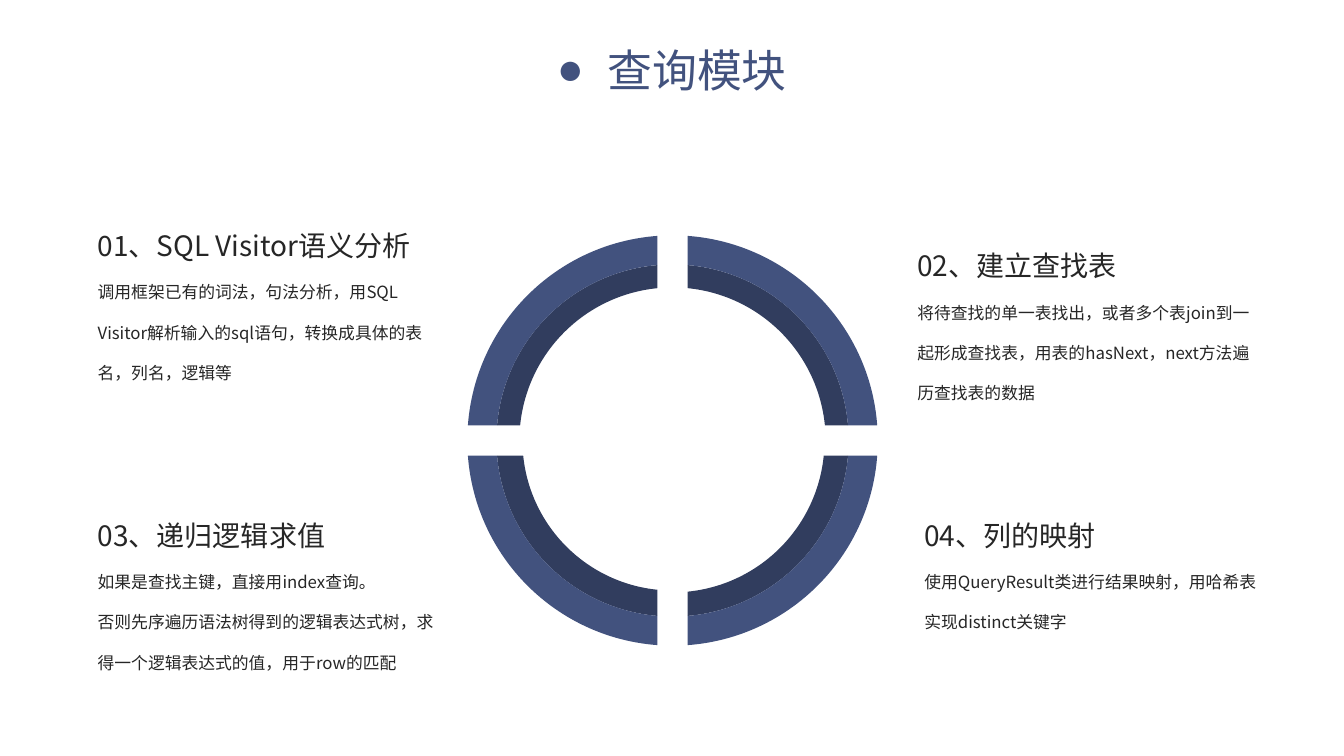
from dataclasses import dataclass
from math import asin, cos, pi, sin, tan
from typing import NamedTuple

from lxml import etree
from pptx import Presentation
from pptx import util as u
from pptx.dml.color import RGBColor
from pptx.enum import text
from pptx.oxml import ns


@dataclass(frozen=True)
class Theme:
    """Colours, fonts and type sizes of the slide."""
    band: RGBColor = RGBColor(0x42, 0x52, 0x7E)
    shade: RGBColor = RGBColor(0x31, 0x3D, 0x5E)
    ink: RGBColor = RGBColor(0x26, 0x26, 0x26)
    font: str = "Noto Sans CJK SC"
    bullet_font: str = "Arial"
    title: int = 32
    heading: int = 20
    body: int = 12


class Step(NamedTuple):
    """One query step; left, top and height are in grid columns and rows."""
    left: float
    top: float
    height: float
    heading: str
    body: tuple[str, ...]


class Quadrant(NamedTuple):
    """One quarter of the ring: direction from the centre and inner radius."""
    dx: int
    dy: int
    inner: float


THEME = Theme()
WIDTH, HEIGHT = u.Inches(13.33), u.Inches(7.5)
COL, ROW = WIDTH / 100, HEIGHT / 100  # a grid of 100 columns by 100 rows

# Ring lengths are in rows, so that it stays round.
CENTRE_X, CENTRE_Y = 50.04 * COL, 58.27 * ROW
OUTER, MIDDLE, HALF_GAP = 27.14, 23.29, 2.0

STEP_WIDTH = 26.48
STEPS = [
    Step(6.53, 25.1, 26.53, "01、SQL Visitor语义分析",
         ("调用框架已有的词法，句法分析，用SQL Visitor解析输入的sql语句，"
          "转换成具体的表名，列名，逻辑等",)),
    Step(6.53, 63.43, 26.53, "03、递归逻辑求值",
         ("如果是查找主键，直接用index查询。",
          "否则先序遍历语法树得到的逻辑表达式树，求得一个逻辑表达式的值，用于row的匹配")),
    Step(67.52, 27.8, 26.53, "02、建立查找表",
         ("将待查找的单一表找出，或者多个表join到一起形成查找表，"
          "用表的hasNext，next方法遍历查找表的数据",)),
    Step(68.04, 63.43, 21.07, "04、列的映射",
         ("使用QueryResult类进行结果映射，用哈希表实现distinct关键字",)),
]
QUADRANTS = [Quadrant(-1, -1, 20.25), Quadrant(1, -1, 20.25),
             Quadrant(-1, 1, 19.85), Quadrant(1, 1, 20.1)]


def arc(quadrant: Quadrant, radius: float) -> list[tuple[int, int]]:
    """Return the four Bezier points of a quarter circle cut off at the gap."""
    cut = asin(HALF_GAP / radius)
    first, last = cut, pi / 2 - cut
    reach = 4 / 3 * tan((last - first) / 4)
    points = [(cos(first), sin(first)),
              (cos(first) - reach * sin(first), sin(first) + reach * cos(first)),
              (cos(last) + reach * sin(last), sin(last) - reach * cos(last)),
              (cos(last), sin(last))]
    return [(round(CENTRE_X + quadrant.dx * radius * ROW * x),
             round(CENTRE_Y + quadrant.dy * radius * ROW * y)) for x, y in points]


def bend(lines: list) -> None:
    """Turn three successive line segments into one Bezier curve."""
    curve = etree.Element(ns.qn("a:cubicBezTo"))
    lines[0].addprevious(curve)
    for line in lines:
        curve.append(line[0])
        line.getparent().remove(line)


def draw_band(shapes, quadrant: Quadrant, inner: float, outer: float,
              colour: RGBColor) -> None:
    """Draw the quarter band between two radii."""
    start, *rest = arc(quadrant, outer) + arc(quadrant, inner)[::-1]
    builder = shapes.build_freeform(*start)
    builder.add_line_segments(rest, close=True)
    band = builder.convert_to_shape()
    lines = list(band._element.iter(ns.qn("a:lnTo")))
    bend(lines[:3])
    bend(lines[4:])
    band.shadow.inherit = False
    band.fill.solid()
    band.fill.fore_color.rgb = colour
    band.line.fill.background()


def add_box(shapes, left: float, top: float, width: float, height: float):
    """Add a wrapping text box given in columns and rows; return its frame."""
    box = shapes.add_textbox(round(left * COL), round(top * ROW),
                             round(width * COL), round(height * ROW))
    frame = box.text_frame
    frame.word_wrap = True
    frame.auto_size = text.MSO_AUTO_SIZE.SHAPE_TO_FIT_TEXT
    return frame


def style(paragraph, size: int, colour: RGBColor) -> None:
    """Format all runs of a paragraph, East Asian font included."""
    for run in paragraph.runs:
        run.font.size = u.Pt(size)
        run.font.name = THEME.font
        run.font.color.rgb = colour
        east_asian = etree.SubElement(run.font._element, ns.qn("a:ea"))
        east_asian.set("typeface", THEME.font)


def draw_step(shapes, step: Step) -> None:
    """Write a step's heading and its explanation."""
    frame = add_box(shapes, step.left, step.top, STEP_WIDTH, step.height)
    frame.text = "\n".join((step.heading, *step.body))
    for index, paragraph in enumerate(frame.paragraphs):
        paragraph.line_spacing = 2.0
        style(paragraph, THEME.body if index else THEME.heading, THEME.ink)


def draw_title(shapes, title: str) -> None:
    """Write the centred title with its round bullet."""
    frame = add_box(shapes, 37.28, 4.93, 25.43, 8.53)
    frame.text = title
    paragraph = frame.paragraphs[0]
    paragraph.alignment = text.PP_ALIGN.CENTER
    style(paragraph, THEME.title, THEME.band)
    properties = paragraph._p.get_or_add_pPr()
    properties.set("marL", str(u.Inches(0.5)))
    properties.set("indent", str(-u.Inches(0.5)))
    etree.SubElement(properties, ns.qn("a:buFont")).set("typeface", THEME.bullet_font)
    etree.SubElement(properties, ns.qn("a:buChar")).set("char", "●")


def main() -> None:
    """Build the slide and save it."""
    deck = Presentation()
    deck.slide_width, deck.slide_height = WIDTH, HEIGHT
    shapes = deck.slides.add_slide(deck.slide_layouts[6]).shapes
    for quadrant in QUADRANTS:
        draw_band(shapes, quadrant, quadrant.inner, MIDDLE, THEME.shade)
        draw_band(shapes, quadrant, MIDDLE, OUTER, THEME.band)
    for step in STEPS:
        draw_step(shapes, step)
    draw_title(shapes, "查询模块")
    deck.save("out.pptx")


main()
